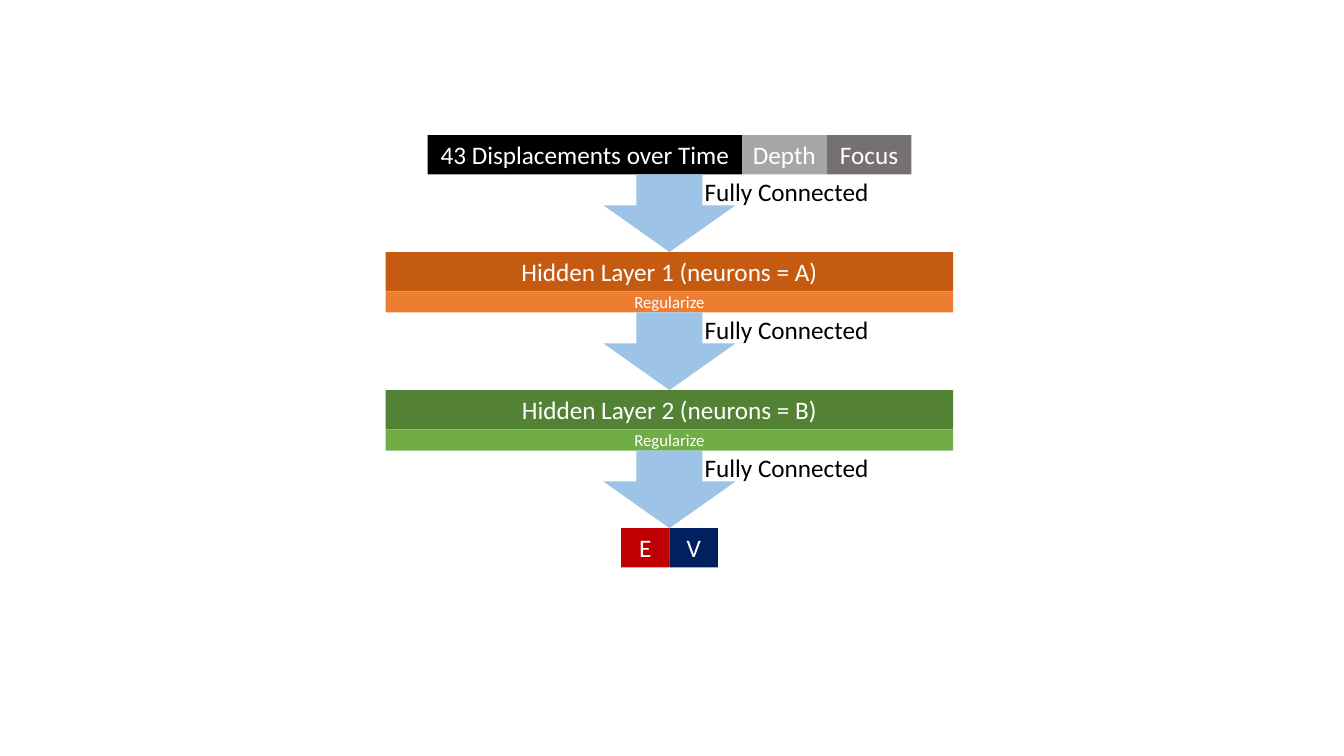
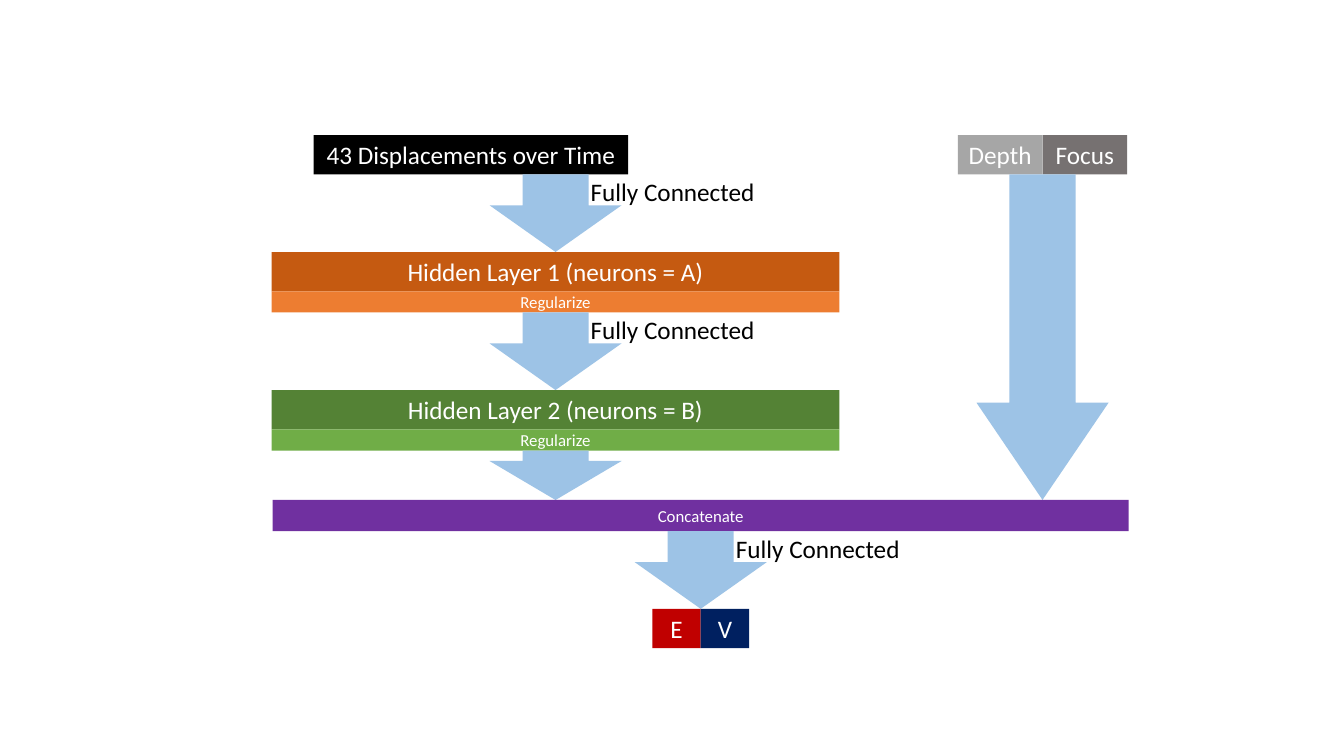
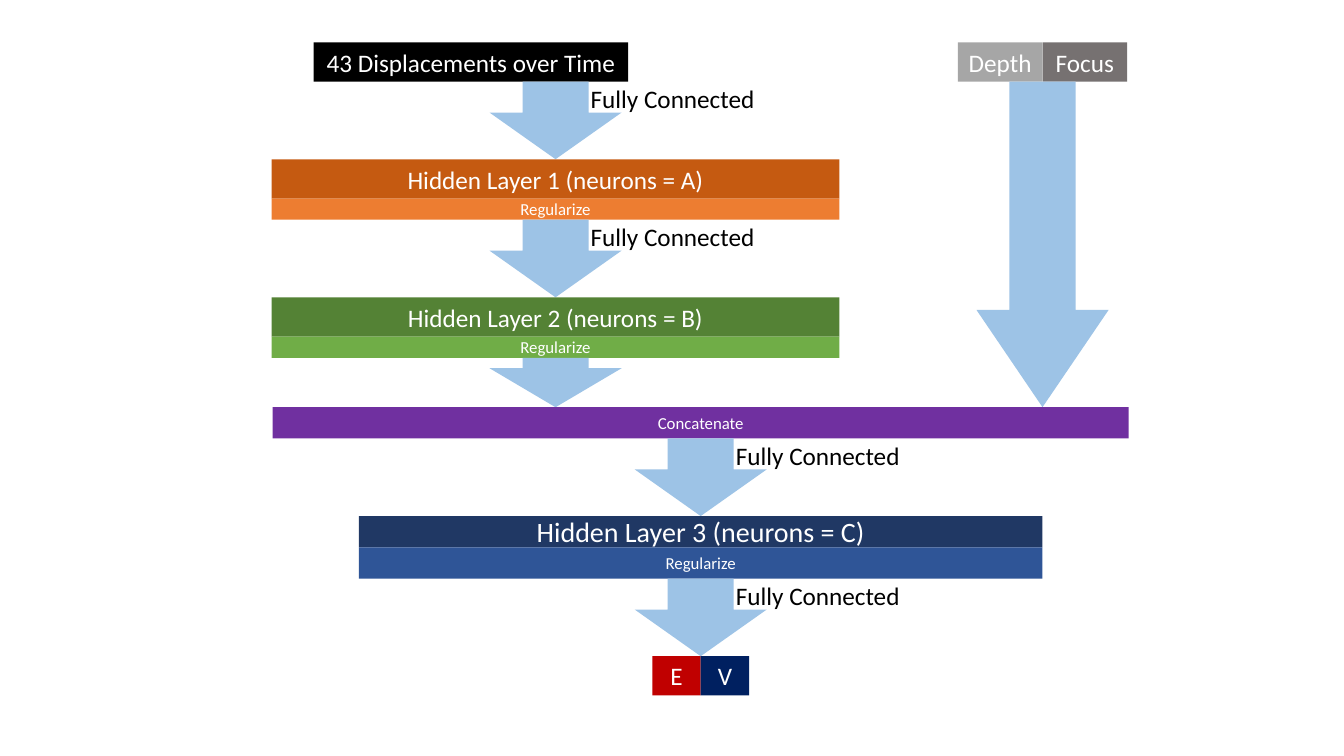
from dataclasses import dataclass

from pptx import Presentation
from pptx.dml.color import RGBColor
from pptx.enum.shapes import MSO_SHAPE
from pptx.enum.text import MSO_ANCHOR, MSO_AUTO_SIZE, PP_ALIGN
from pptx.util import Inches, Pt


@dataclass(frozen=True)
class Theme:
    font: str = "Calibri"
    body: int = 18
    small: int = 12
    large: int = 20
    text: str = "000000"
    reversed_text: str = "FFFFFF"
    arrow: str = "9DC3E6"
    displacements: str = "000000"
    depth: str = "A6A6A6"
    focus: str = "767171"
    layer_1: tuple = ("C55A11", "ED7D31")
    layer_2: tuple = ("548235", "70AD47")
    layer_3: tuple = ("203864", "2F5597")
    concatenate: str = "7030A0"
    output_e: str = "C00000"
    output_v: str = "002060"


# Shared measurements in inches
BOX_HEIGHT = 0.39
REGULARIZE_HEIGHT = 0.21
MERGE_HEIGHT = 0.31
LAYER_WIDTH = 5.63
DISPLACEMENTS_WIDTH = 3.12
INPUT_WIDTH = 0.84
OUTPUT_WIDTH = 0.48
ARROW_WIDTH = 1.31
ARROW_HEIGHT = 0.77
SHORT_ARROW_HEIGHT = 0.49


class NetworkDeck:
    """Draws layer diagrams; y is where the next part of the flow starts."""

    def __init__(self, theme):
        self.theme = theme
        self.deck = Presentation()
        self.deck.slide_width = Inches(13.33)
        self.deck.slide_height = Inches(7.5)

    def new_slide(self, top):
        self.slide = self.deck.slides.add_slide(self.deck.slide_layouts[6])
        self.y = top

    def set_text(self, frame, text, size, color):
        frame.text = text
        font = frame.paragraphs[0].runs[0].font
        font.name = self.theme.font
        font.size = Pt(size)
        font.color.rgb = RGBColor.from_string(color)

    def filled(self, preset, left, top, width, height, color):
        shape = self.slide.shapes.add_shape(
            preset, Inches(left), Inches(top), Inches(width), Inches(height))
        shape.shadow.inherit = False
        shape.fill.solid()
        shape.fill.fore_color.rgb = RGBColor.from_string(color)
        shape.line.fill.background()
        return shape

    def box(self, text, left, width, color, height=BOX_HEIGHT, size=None):
        bar = self.filled(MSO_SHAPE.RECTANGLE, left, self.y, width, height, color)
        frame = bar.text_frame
        frame.word_wrap = True
        frame.vertical_anchor = MSO_ANCHOR.MIDDLE
        self.set_text(frame, text, size or self.theme.body, self.theme.reversed_text)
        frame.paragraphs[0].alignment = PP_ALIGN.CENTER

    def arrow(self, center, height=ARROW_HEIGHT, head=0.601):
        arrow = self.filled(MSO_SHAPE.DOWN_ARROW, center - ARROW_WIDTH / 2, self.y,
                            ARROW_WIDTH, height, self.theme.arrow)
        arrow.adjustments[0] = 0.5
        arrow.adjustments[1] = head

    def fully_connected(self, center):
        self.arrow(center)
        label = self.slide.shapes.add_textbox(
            Inches(center + 0.25), Inches(self.y - 0.03), Inches(1.85), Inches(0.4))
        label.text_frame.word_wrap = False
        label.text_frame.auto_size = MSO_AUTO_SIZE.SHAPE_TO_FIT_TEXT
        self.set_text(label.text_frame, "Fully Connected", self.theme.body, self.theme.text)
        self.y += ARROW_HEIGHT

    def layer(self, text, center, colors, width=LAYER_WIDTH, height=BOX_HEIGHT,
              regularize_height=REGULARIZE_HEIGHT, size=None):
        left = center - width / 2
        self.box(text, left, width, colors[0], height, size)
        self.y += height
        self.box("Regularize", left, width, colors[1], regularize_height, self.theme.small)
        self.y += regularize_height

    def inputs(self, center, depth_left):
        self.box("43 Displacements over Time", center - 2.4, DISPLACEMENTS_WIDTH,
                 self.theme.displacements)
        self.box("Depth", depth_left, INPUT_WIDTH, self.theme.depth)
        self.box("Focus", depth_left + INPUT_WIDTH, INPUT_WIDTH, self.theme.focus)
        self.y += BOX_HEIGHT

    def hidden_layers(self, center):
        self.fully_connected(center)
        self.layer("Hidden Layer 1 (neurons = A)", center, self.theme.layer_1)
        self.fully_connected(center)
        self.layer("Hidden Layer 2 (neurons = B)", center, self.theme.layer_2)

    def concatenate(self, center, width):
        self.box("Concatenate", center - width / 2, width, self.theme.concatenate,
                 MERGE_HEIGHT, self.theme.small)
        self.y += MERGE_HEIGHT

    def outputs(self, center):
        self.fully_connected(center)
        self.box("E", center - OUTPUT_WIDTH, OUTPUT_WIDTH, self.theme.output_e)
        self.box("V", center, OUTPUT_WIDTH, self.theme.output_v)

    def two_branches(self, center, depth_left, merge_center):
        self.inputs(center, depth_left)
        branch_top = self.y
        self.hidden_layers(center)
        self.arrow(center, SHORT_ARROW_HEIGHT, 0.789)
        merge_top = self.y + SHORT_ARROW_HEIGHT
        # The depth and focus branch skips the hidden layers
        self.y = branch_top
        self.arrow(depth_left + INPUT_WIDTH, merge_top - branch_top, 0.736)
        self.y = merge_top
        self.concatenate(merge_center, 8.49)


network = NetworkDeck(Theme())

# Slide 1: all inputs in a single chain
chain_center = 6.64
network.new_slide(top=1.34)
network.inputs(chain_center, depth_left=7.36)
network.hidden_layers(chain_center)
network.outputs(chain_center)

# Slide 2: depth and focus join after the hidden layers
branch_center, side_left, merge_center = 5.51, 9.5, 6.95
network.new_slide(top=1.34)
network.two_branches(branch_center, side_left, merge_center)
network.outputs(merge_center)

# Slide 3: a third hidden layer follows the join
network.new_slide(top=0.42)
network.two_branches(branch_center, side_left, merge_center)
network.fully_connected(merge_center)
network.layer("Hidden Layer 3 (neurons = C)", merge_center, network.theme.layer_3,
              width=6.78, height=MERGE_HEIGHT, regularize_height=MERGE_HEIGHT,
              size=network.theme.large)
network.outputs(merge_center)

network.deck.save("out.pptx")
